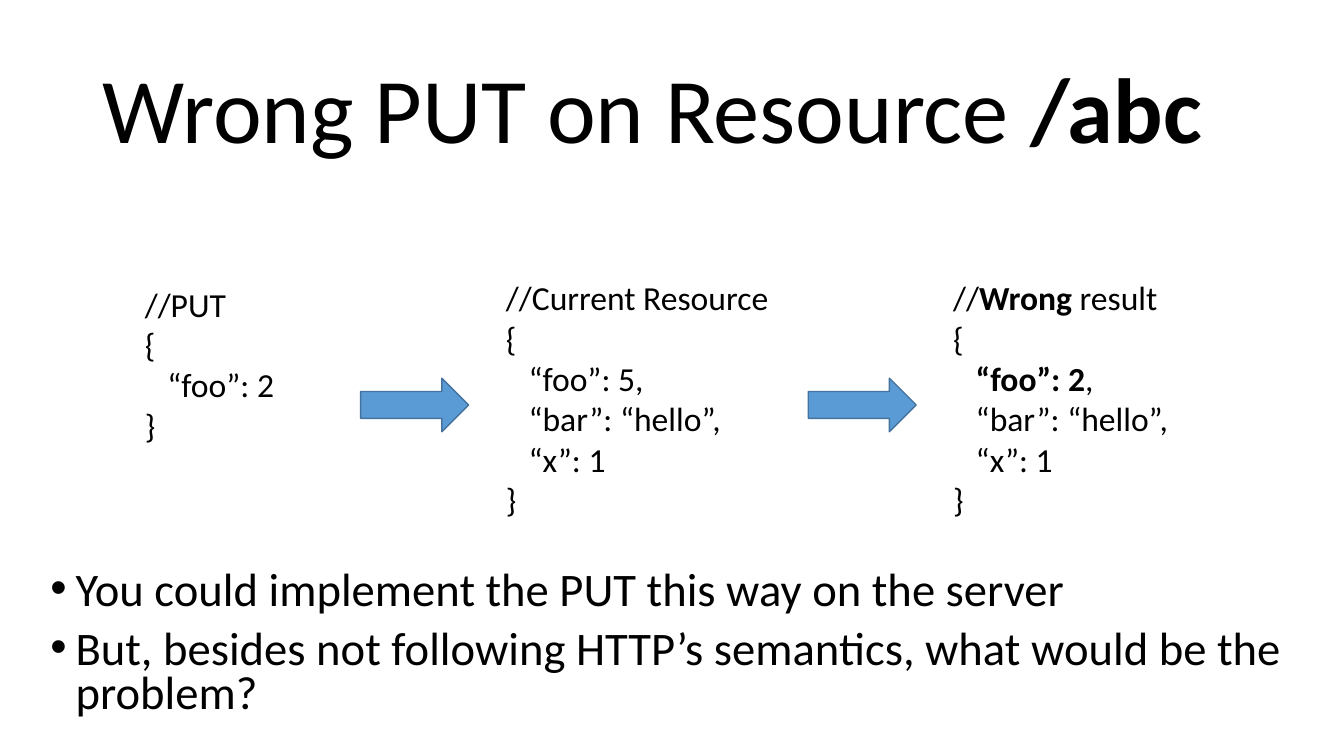
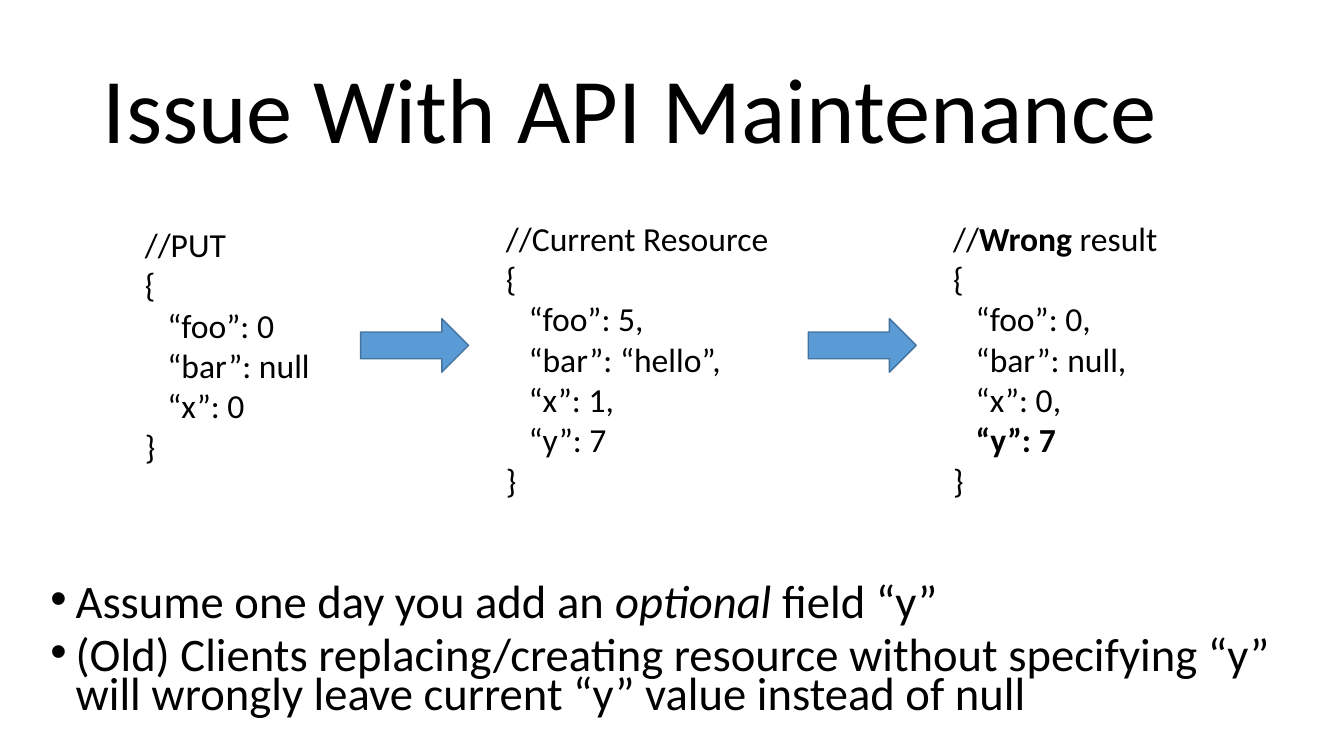
from lxml import etree
from pptx import Presentation
from pptx import util as u
from pptx.dml.color import RGBColor
from pptx.enum import shapes, text
from pptx.oxml.ns import qn

BLACK = RGBColor(0x00, 0x00, 0x00)
BLUE = RGBColor(0x5B, 0x9B, 0xD5)
DARK_BLUE = RGBColor(0x43, 0x73, 0x9E)
FONT = "Calibri"
BODY_BOTTOM = 18.49
ARROW_LEFTS = (9.09, 20.37)


class Deck:
    """Holds the shared style and the current slide, and adds elements to it."""

    def __init__(self):
        self.prs = Presentation()
        self.prs.slide_width = u.Cm(33.87)
        self.prs.slide_height = u.Cm(19.05)
        self.slide = None

    def add_runs(self, paragraph, content, size, italic=False):
        """Adds runs to a paragraph; parts between asterisks are bold or italic."""
        for i, part in enumerate(content.split("*")):
            if part:
                run = paragraph.add_run()
                run.text = part
                run.font.name = FONT
                run.font.size = u.Pt(size)
                run.font.color.rgb = BLACK
                if i % 2 and italic:
                    run.font.italic = True
                elif i % 2:
                    run.font.bold = True

    def indent(self, paragraph, left, first=0.0):
        """Sets the left margin and first-line indent of a paragraph."""
        props = paragraph._p.get_or_add_pPr()
        props.set("marL", str(u.Cm(left)))
        props.set("indent", str(u.Cm(first)))
        return props

    def text_box(self, left, top, width, height, wrap):
        """Adds an empty text box and returns its text frame."""
        box = self.slide.shapes.add_textbox(
            u.Cm(left), u.Cm(top), u.Cm(width), u.Cm(height))
        box.text_frame.word_wrap = wrap
        return box.text_frame

    def paragraphs(self, frame, contents):
        """Yields each content with a paragraph of the frame to hold it."""
        for i, content in enumerate(contents):
            yield (frame.add_paragraph() if i else frame.paragraphs[0]), content

    def new_slide(self, heading):
        """Starts a slide with the shared title style."""
        self.slide = self.prs.slides.add_slide(self.prs.slide_layouts[5])
        title = self.slide.shapes.title
        title.left, title.top = u.Cm(2.34), u.Cm(1.02)
        title.width, title.height = u.Cm(29.21), u.Cm(3.68)
        frame = title.text_frame
        frame.auto_size = text.MSO_AUTO_SIZE.NONE
        frame.vertical_anchor = text.MSO_ANCHOR.MIDDLE
        paragraph = frame.paragraphs[0]
        paragraph.alignment = text.PP_ALIGN.LEFT
        paragraph.line_spacing = 0.9
        self.add_runs(paragraph, heading, 66)

    def code(self, left, top, width, comment, fields):
        """Adds a commented JSON object, one field a line."""
        lines = [comment, "{", *fields, "}"]
        frame = self.text_box(left, top, width, 0.25 + 1.025 * len(lines), False)
        frame.auto_size = text.MSO_AUTO_SIZE.SHAPE_TO_FIT_TEXT
        for paragraph, line in self.paragraphs(frame, lines):
            if line in fields:
                self.indent(paragraph, 0.57)
            self.add_runs(paragraph, line, 24)

    def arrow(self, left, top):
        """Adds a block arrow pointing to the next state."""
        arrow = self.slide.shapes.add_shape(
            shapes.MSO_SHAPE.RIGHT_ARROW,
            u.Cm(left), u.Cm(top), u.Cm(2.72), u.Cm(1.35))
        arrow.shadow.inherit = False
        arrow.fill.solid()
        arrow.fill.fore_color.rgb = BLUE
        arrow.line.color.rgb = DARK_BLUE
        arrow.line.width = u.Pt(1)

    def update_flow(self, top, put, current, wrong):
        """Adds request, current resource and result, joined by arrows."""
        self.code(3.4, top + 0.16, put[0], "//PUT", put[1])
        self.code(12.5, top, current[0], "//Current Resource", current[1])
        self.code(23.77, top, wrong[0], "//*Wrong* result", wrong[1])
        for left in ARROW_LEFTS:
            self.arrow(left, top + 2.67)

    def bullets(self, top, spacing, points):
        """Adds the bulleted remarks at the foot of the slide."""
        frame = self.text_box(1.02, top, 32.2, BODY_BOTTOM - top, True)
        for paragraph, point in self.paragraphs(frame, points):
            paragraph.line_spacing = spacing
            paragraph.space_before = u.Pt(10)
            props = self.indent(paragraph, 0.635, -0.635)
            etree.SubElement(props, qn("a:buFont"), typeface="Arial")
            etree.SubElement(props, qn("a:buChar"), char="•")
            self.add_runs(paragraph, point, 33.3, italic=True)


def main():
    """Builds and saves the two slides."""
    deck = Deck()

    deck.new_slide("Wrong PUT on Resource */abc*")
    deck.bullets(14.25, 0.8, [
        "You could implement the PUT this way on the server",
        "But, besides not following HTTP’s semantics, what would be the problem?",
    ])
    deck.update_flow(
        6.86,
        put=(3.78, ["“foo”: 2"]),
        current=(7.19, ["“foo”: 5,", "“bar”: “hello”,", "“x”: 1"]),
        wrong=(5.97, ["*“foo”: 2*,", "“bar”: “hello”,", "“x”: 1"]),
    )

    deck.new_slide("Issue With API Maintenance")
    deck.bullets(14.66, 0.7, [
        "Assume one day you add an *optional* field “y”",
        "(Old) Clients replacing/creating resource without specifying “y” "
        "will wrongly leave current “y” value instead of null",
    ])
    deck.update_flow(
        5.36,
        put=(4.7, ["“foo”: 0", "“bar”: null", "“x”: 0"]),
        current=(7.19, ["“foo”: 5,", "“bar”: “hello”,", "“x”: 1,", "“y”: 7"]),
        wrong=(5.72, ["“foo”: 0,", "“bar”: null,", "“x”: 0,", "*“y”: 7*"]),
    )

    deck.prs.save("out.pptx")


if __name__ == "__main__":
    main()
